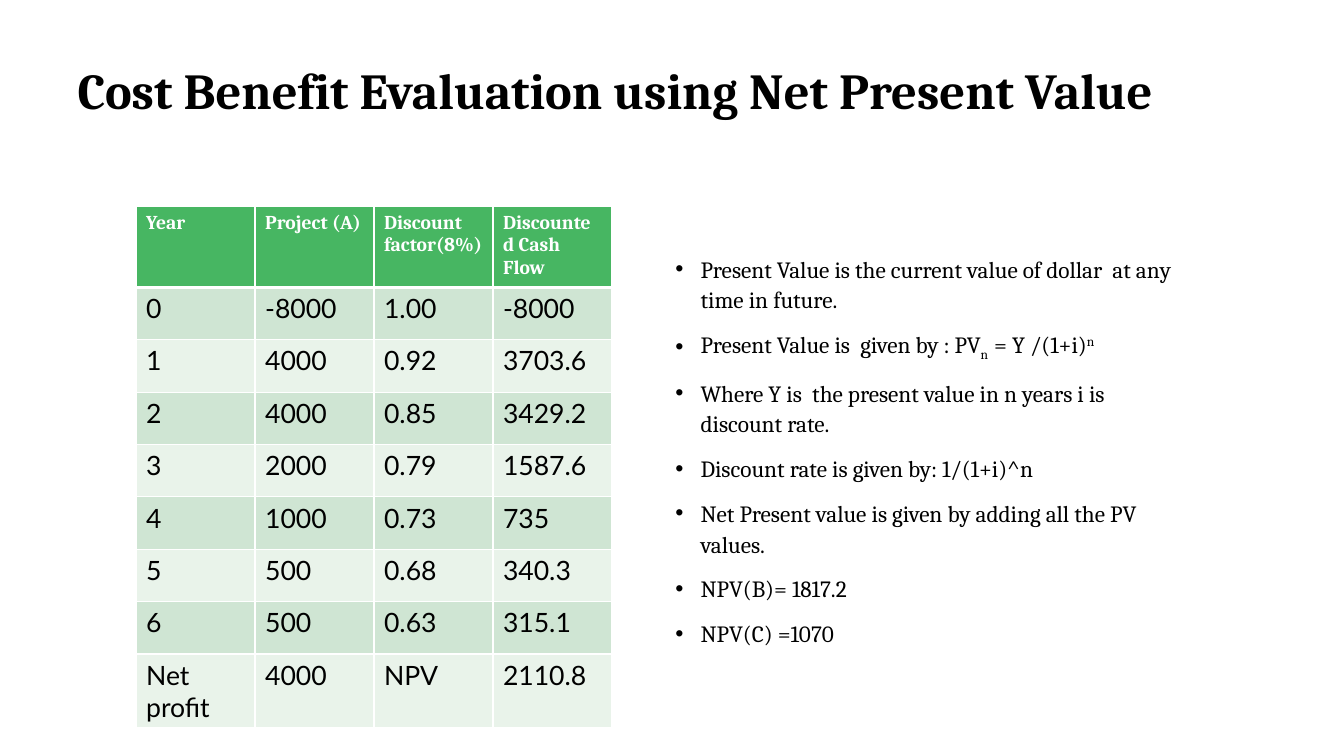
from dataclasses import dataclass

from lxml.etree import SubElement
from pptx import Presentation
from pptx.dml.color import RGBColor
from pptx.enum.text import MSO_ANCHOR, MSO_AUTO_SIZE, PP_ALIGN
from pptx.oxml.ns import qn
from pptx.util import Inches, Pt


@dataclass(frozen=True)
class Theme:
    serif: str = "Cambria"
    sans: str = "Lato"
    black: str = "000000"
    white: str = "FFFFFF"
    green: str = "47B662"
    bands: tuple = ("CFE5D3", "E9F3EA")
    title_size: float = 36
    header_size: float = 14
    cell_size: float = 19
    bullet_size: float = 16.6


def add_text(p, text, font, size, color, bold=False, baseline=0):
    r = p.add_run()
    r.text = text
    r.font.name = font
    r.font.size = Pt(size)
    r.font.bold = bold
    r.font.color.rgb = RGBColor.from_string(color)
    if baseline:
        r.font._element.set("baseline", str(baseline * 1000))


def set_bullet(p, indent):
    pPr = p._p.get_or_add_pPr()
    pPr.set("marL", str(indent))
    pPr.set("indent", str(-indent))
    SubElement(pPr, qn("a:buFont"), typeface="Arial")
    SubElement(pPr, qn("a:buChar"), char="•")


def set_borders(cell, color, widths):
    tcPr = cell._tc.get_or_add_tcPr()
    for i, (side, width) in enumerate(widths.items()):
        ln = SubElement(tcPr, qn(f"a:ln{side}"), w=str(Pt(width)))
        fill = SubElement(ln, qn("a:solidFill"))
        SubElement(fill, qn("a:srgbClr"), val=color)
        tcPr.insert(i, ln)


class SlideBuilder:
    def __init__(self, prs, theme):
        self.theme = theme
        self.s = prs.slides.add_slide(prs.slide_layouts[5])

    def title(self, text, left, top, width, height):
        t = self.theme
        sp = self.s.shapes.title
        sp.left, sp.top = Inches(left), Inches(top)
        sp.width, sp.height = Inches(width), Inches(height)
        tf = sp.text_frame
        tf.word_wrap = True
        tf.auto_size = MSO_AUTO_SIZE.NONE
        tf.vertical_anchor = MSO_ANCHOR.TOP
        p = tf.paragraphs[0]
        p.alignment = PP_ALIGN.LEFT
        p.line_spacing = 0.9
        add_text(p, text, t.serif, t.title_size, t.black, bold=True)

    def bullets(self, items, left, top, width, height):
        t = self.theme
        sp = self.s.shapes.add_textbox(
            Inches(left), Inches(top), Inches(width), Inches(height))
        tf = sp.text_frame
        tf.word_wrap = True
        tf.vertical_anchor = MSO_ANCHOR.MIDDLE
        for i, runs in enumerate(items):
            p = tf.add_paragraph() if i else tf.paragraphs[0]
            p.line_spacing = 1.1
            p.space_before = Pt(10)
            set_bullet(p, Inches(0.25))
            for text, baseline in runs:
                add_text(p, text, t.serif, t.bullet_size, t.black, baseline=baseline)

    def table(self, rows, left, top, col_width, header_height, row_height):
        t = self.theme
        n_rows, n_cols = len(rows), len(rows[0])
        height = header_height + row_height * (n_rows - 1)
        table = self.s.shapes.add_table(
            n_rows, n_cols, Inches(left), Inches(top),
            Inches(col_width * n_cols), Inches(height)).table
        table.horz_banding = False
        for col in table.columns:
            col.width = Inches(col_width)
        for i, values in enumerate(rows):
            header = i == 0
            table.rows[i].height = Inches(header_height if header else row_height)
            fill = t.green if header else t.bands[(i - 1) % 2]
            font = t.serif if header else t.sans
            size = t.header_size if header else t.cell_size
            color = t.white if header else t.black
            widths = {"L": 1, "R": 1, "T": 3 if i == 1 else 1, "B": 3 if header else 1}
            for j, value in enumerate(values):
                cell = table.cell(i, j)
                cell.fill.solid()
                cell.fill.fore_color.rgb = RGBColor.from_string(fill)
                set_borders(cell, t.white, widths)
                add_text(cell.text_frame.paragraphs[0], value, font, size, color, bold=header)


CASH_FLOWS = [
    ("Year", "Project (A)", "Discount factor(8%)", "Discounted Cash Flow"),
    ("0", "-8000", "1.00", "-8000"),
    ("1", "4000", "0.92", "3703.6"),
    ("2", "4000", "0.85", "3429.2"),
    ("3", "2000", "0.79", "1587.6"),
    ("4", "1000", "0.73", "735"),
    ("5", "500", "0.68", "340.3"),
    ("6", "500", "0.63", "315.1"),
    ("Net profit", "4000", "NPV", "2110.8"),
]

NOTES = [
    [("Present Value is the current value of dollar  at any time in future.", 0)],
    [("Present Value is  given by : PV", 0), ("n  ", -25), ("= Y /(1+i)", 0), ("n", 30)],
    [("Where Y is  the present value in n years i is discount rate.", 0)],
    [("Discount rate is given by: 1/(1+i)^n", 0)],
    [("Net Present value is given by adding all the PV values.", 0)],
    [("NPV(B)= 1817.2", 0)],
    [("NPV(C) =1070", 0)],
]


def main():
    prs = Presentation()
    prs.slide_width, prs.slide_height = Inches(13.33), Inches(7.5)
    slide = SlideBuilder(prs, Theme())
    slide.title("Cost Benefit Evaluation using Net Present Value", 0.67, 0.6, 11.15, 1.45)
    slide.bullets(NOTES, 6.6, 2.41, 5.22, 4.1)
    slide.table(CASH_FLOWS, 1.35, 2.05, 1.18, 0.44, 0.52)
    prs.save("out.pptx")


if __name__ == "__main__":
    main()
